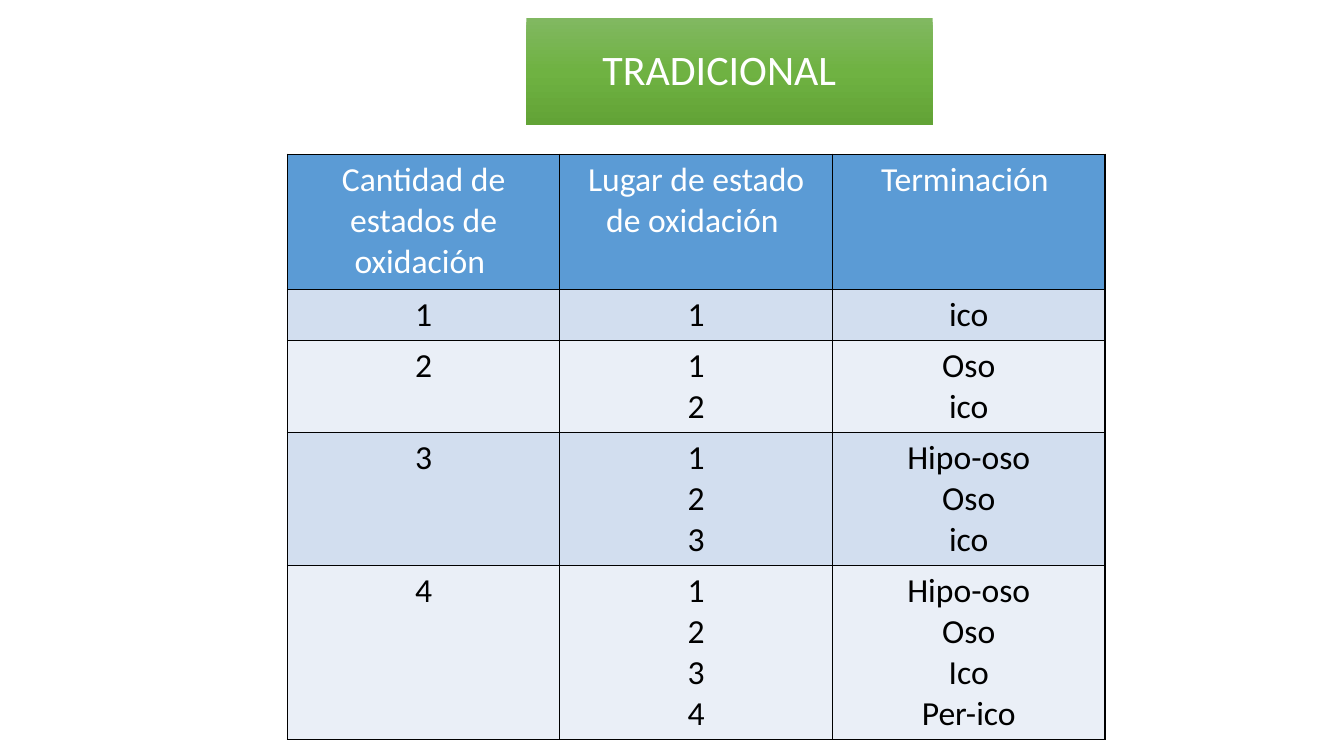
from copy import deepcopy

from lxml.etree import SubElement
from pptx import Presentation
from pptx.dml.color import RGBColor
from pptx.enum.shapes import MSO_SHAPE
from pptx.enum.text import MSO_ANCHOR, PP_ALIGN
from pptx.oxml.ns import qn
from pptx.util import Inches, Pt


def rgb(value):
    return RGBColor.from_string(value)


def write_text(text_frame, text, size=24, color="000000", line_spacing=None):
    for index, line in enumerate(text.split("\n")):
        paragraph = text_frame.paragraphs[0] if index == 0 else text_frame.add_paragraph()
        paragraph.alignment = PP_ALIGN.CENTER
        paragraph.line_spacing = line_spacing
        run = paragraph.add_run()
        run.text = line
        run.font.name = "Calibri"
        run.font.size = Pt(size)
        run.font.color.rgb = rgb(color)


presentation = Presentation()
presentation.slide_width = Inches(13.33)
presentation.slide_height = Inches(7.5)
slide = presentation.slides.add_slide(presentation.slide_layouts[6])

# Title box with a three-stop green gradient
title = slide.shapes.add_shape(
    MSO_SHAPE.RECTANGLE, Inches(5.22), Inches(0.18), Inches(4.03), Inches(1.06))
title.shadow.inherit = False
title.line.fill.background()
title.fill.gradient()
title.fill.gradient_angle = 270
stop_list = title._element.spPr.find(qn("a:gradFill")).find(qn("a:gsLst"))
stop_list.insert(1, deepcopy(stop_list[0]))
gradient = [(0, "81B861"), (0.5, "6FB242"), (1, "62A336")]
for stop, (position, color) in zip(title.fill.gradient_stops, gradient):
    stop.position = position
    stop.color.rgb = rgb(color)

# Title text, set slightly left of centre by a wider right inset
title_frame = title.text_frame
title_frame.word_wrap = True
title_frame.vertical_anchor = MSO_ANCHOR.MIDDLE
title_frame.margin_left = title_frame.margin_top = title_frame.margin_bottom = Inches(0.02)
title_frame.margin_right = Inches(0.22)
write_text(title_frame, "TRADICIONAL", size=30, color="FFFFFF", line_spacing=0.9)

# Table of oxidation states and name endings
rows = [
    ("Cantidad de estados de oxidación ", "Lugar de estado de oxidación ", "Terminación "),
    ("1", "1", "ico"),
    ("2", "1\n2", "Oso\nico"),
    ("3", "1\n2\n3", "Hipo-oso\nOso\nico"),
    ("4", "1\n2\n3\n4", "Hipo-oso\nOso\nIco\nPer-ico"),
]
row_heights = [1.34, 0.5, 0.9, 1.3, 1.7]
table = slide.shapes.add_table(
    len(rows), 3, Inches(2.85), Inches(1.53), Inches(8.11), Inches(sum(row_heights))).table
for column in table.columns:
    column.width = Inches(8.11 / 3)

for row_index, (texts, height) in enumerate(zip(rows, row_heights)):
    table.rows[row_index].height = Inches(height)
    is_header = row_index == 0
    fill_color = "5B9BD5" if is_header else ("EAEFF7", "D2DEEF")[row_index % 2]
    for column_index, text in enumerate(texts):
        cell = table.cell(row_index, column_index)
        write_text(cell.text_frame, text, color="FFFFFF" if is_header else "000000")
        # Borders come before the fill in the cell properties
        properties = cell._tc.get_or_add_tcPr()
        for side in ("a:lnL", "a:lnR", "a:lnT", "a:lnB"):
            border = SubElement(properties, qn(side), w=str(Pt(1)))
            solid_fill = SubElement(border, qn("a:solidFill"))
            SubElement(solid_fill, qn("a:srgbClr"), val="000000")
        cell.fill.solid()
        cell.fill.fore_color.rgb = rgb(fill_color)

presentation.save("out.pptx")
